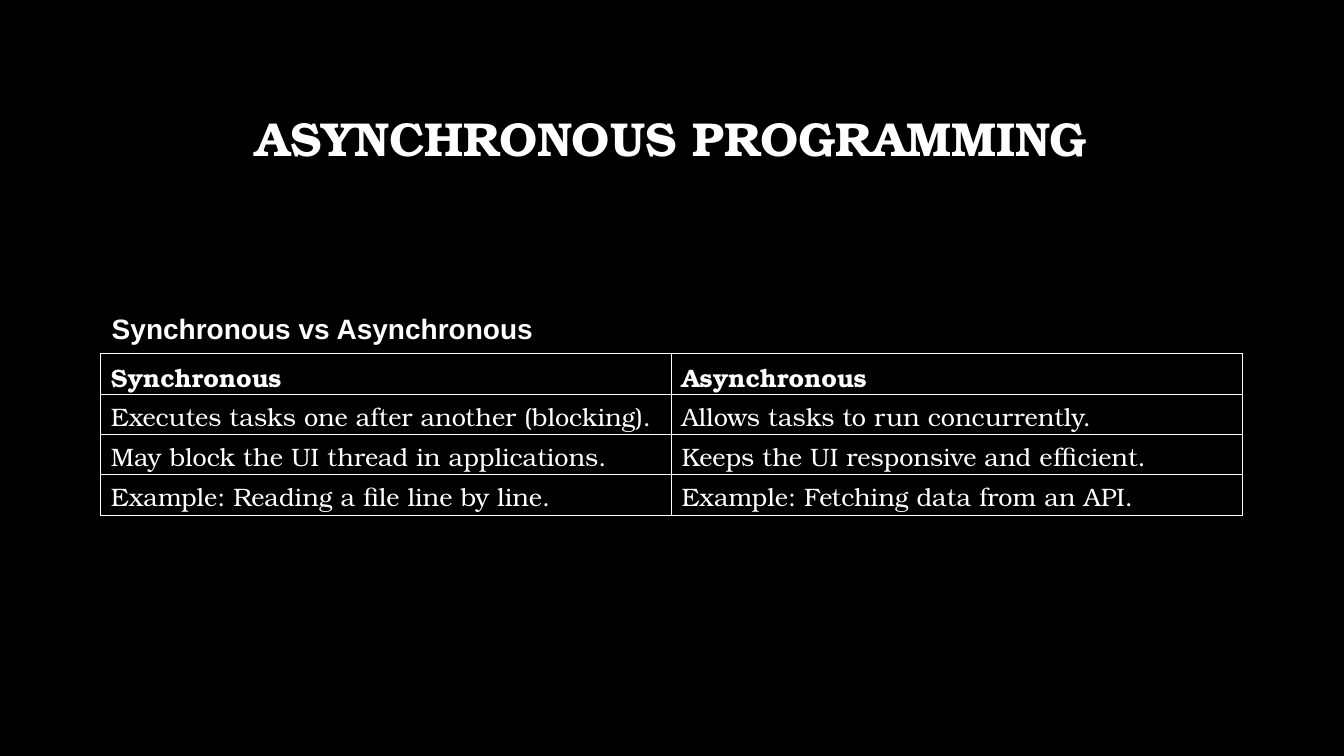
from lxml import etree
from pptx import Presentation
from pptx import util as u
from pptx.dml.color import RGBColor
from pptx.enum import text
from pptx.oxml import ns

BLACK = RGBColor(0x00, 0x00, 0x00)
WHITE = RGBColor(0xFF, 0xFF, 0xFF)

COMPARISON = [
    ("Synchronous", "Asynchronous"),
    ("Executes tasks one after another (blocking).", "Allows tasks to run concurrently."),
    ("May block the UI thread in applications.", "Keeps the UI responsive and efficient."),
    ("Example: Reading a file line by line.", "Example: Fetching data from an API."),
]


class SlideBuilder:
    """Draws white text and tables on one black slide."""

    serif = "TeX Gyre Bonum"
    sans = "Arial"
    border_width = u.Pt(1)

    def __init__(self, presentation):
        self.slide = presentation.slides.add_slide(presentation.slide_layouts[6])
        background = self.slide.background.fill
        background.solid()
        background.fore_color.rgb = BLACK

    def style(self, paragraph, font_name, size, bold):
        font = paragraph.font
        font.name, font.size, font.bold = font_name, u.Pt(size), bold
        font.color.rgb = WHITE

    def text_box(self, content, box, font_name, size, wrap=True):
        shape = self.slide.shapes.add_textbox(*map(u.Inches, box))
        frame = shape.text_frame
        frame.word_wrap = wrap
        frame.vertical_anchor = text.MSO_ANCHOR.MIDDLE
        paragraph = frame.paragraphs[0]
        paragraph.text = content
        self.style(paragraph, font_name, size, True)
        return shape

    def title(self, content, box):
        paragraph = self.text_box(content, box, self.serif, 34).text_frame.paragraphs[0]
        paragraph.alignment = text.PP_ALIGN.CENTER
        paragraph.line_spacing = 0.9

    def caption(self, content, box):
        shape = self.text_box(content, box, self.sans, 20, wrap=False)
        shape.text_frame.auto_size = text.MSO_AUTO_SIZE.SHAPE_TO_FIT_TEXT

    def borders(self, cell):
        properties = cell._tc.get_or_add_tcPr()
        for position, side in enumerate(("lnL", "lnR", "lnT", "lnB")):
            line = etree.Element(ns.qn(f"a:{side}"), w=str(self.border_width))
            fill = etree.SubElement(line, ns.qn("a:solidFill"))
            etree.SubElement(fill, ns.qn("a:srgbClr"), val=str(WHITE))
            properties.insert(position, line)

    def table(self, rows, box):
        shape = self.slide.shapes.add_table(len(rows), len(rows[0]), *map(u.Inches, box))
        table = shape.table
        table.horz_banding = False
        for row_index, row in enumerate(rows):
            for column_index, content in enumerate(row):
                cell = table.cell(row_index, column_index)
                cell.text = content
                cell.vertical_anchor = text.MSO_ANCHOR.MIDDLE
                cell.fill.solid()
                cell.fill.fore_color.rgb = BLACK
                self.style(cell.text_frame.paragraphs[0], self.serif, 18, row_index == 0)
                self.borders(cell)


def main():
    presentation = Presentation()
    presentation.slide_width = u.Inches(13.33)
    presentation.slide_height = u.Inches(7.5)
    builder = SlideBuilder(presentation)
    builder.title("ASYNCHRONOUS PROGRAMMING", (1, 0.67, 11.32, 1.45))
    builder.table(COMPARISON, (1, 3.51, 11.32, 1.6))
    builder.caption("Synchronous vs Asynchronous", (1.01, 3.04, 4.42, 0.44))
    presentation.save("out.pptx")


if __name__ == "__main__":
    main()
